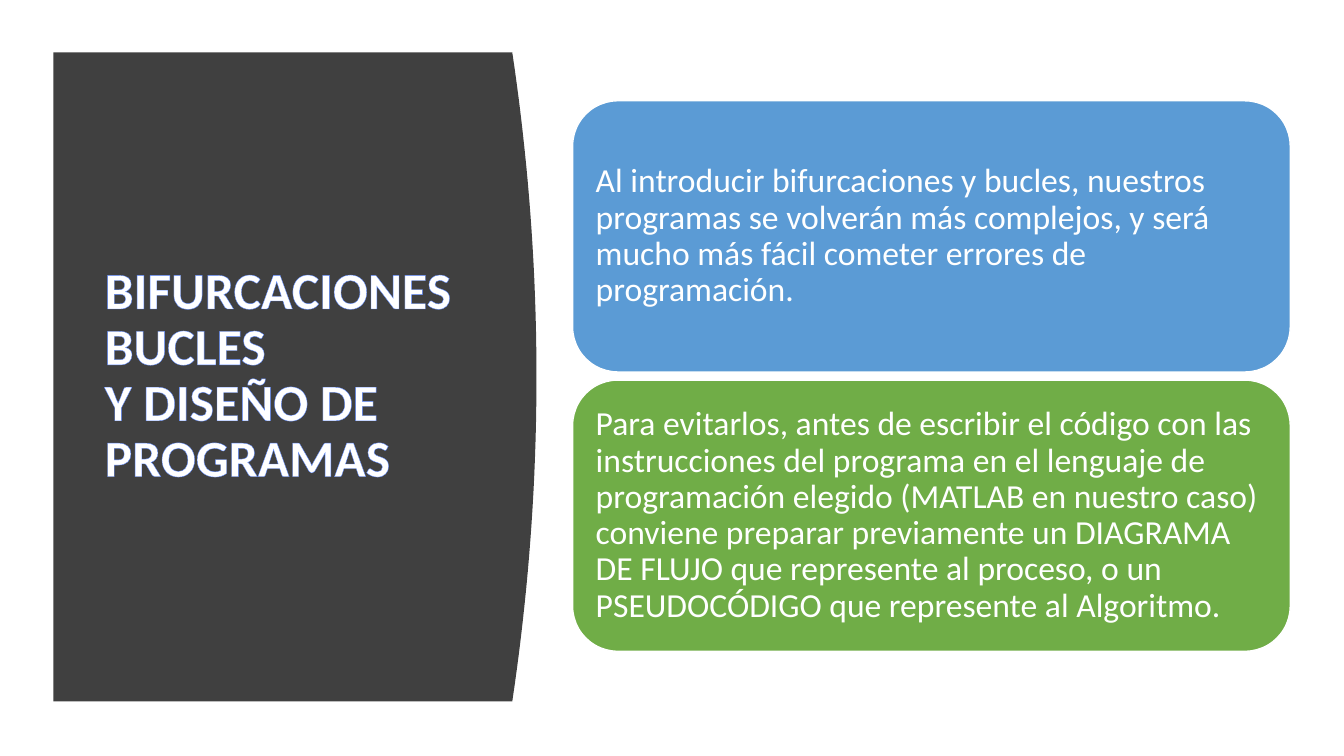
"""Build a slide with a curved title panel and two rounded text cards."""
import pptx
import pptx.dml.color
import pptx.enum.shapes
import pptx.enum.text
import pptx.oxml
import pptx.util
from lxml import etree

Pt = pptx.util.Pt
RGB = pptx.dml.color.RGBColor

WHITE = RGB(0xFF, 0xFF, 0xFF)
DARK = RGB(0x40, 0x40, 0x40)
BLUE = RGB(0x5B, 0x9B, 0xD5)
GREEN = RGB(0x70, 0xAD, 0x47)
EDGE = RGB(0x5A, 0x87, 0xFF)

TITLE = ["BIFURCACIONES BUCLES ", "Y DISEÑO DE PROGRAMAS"]
CARDS = [
    (BLUE, "Al introducir bifurcaciones y bucles, nuestros programas se "
           "volverán más complejos, y será mucho más fácil cometer errores "
           "de programación."),
    (GREEN, "Para evitarlos, antes de escribir el código con las "
            "instrucciones del programa en el lenguaje de programación "
            "elegido (MATLAB en nuestro caso) conviene preparar previamente "
            "un DIAGRAMA DE FLUJO que represente al proceso, o un "
            "PSEUDOCÓDIGO que represente al Algoritmo."),
]


def paint(shape, color):
    """Fill a shape with one colour and drop its shadow."""
    shape.shadow.inherit = False
    shape.fill.solid()
    shape.fill.fore_color.rgb = color


def outline(run, color, width):
    """Draw a thin line around the letters of a run."""
    props = run.font._element
    line = props.makeelement(pptx.oxml.ns.qn("a:ln"), {"w": str(Pt(width))})
    fill = etree.SubElement(line, pptx.oxml.ns.qn("a:solidFill"))
    etree.SubElement(fill, pptx.oxml.ns.qn("a:srgbClr"), val=str(color))
    props.insert(0, line)


def write(frame, lines, size, bold=False):
    """Write lines in one left-aligned, vertically centred paragraph."""
    frame.word_wrap = True
    frame.vertical_anchor = pptx.enum.text.MSO_ANCHOR.MIDDLE
    para = frame.paragraphs[0]
    para.alignment = pptx.enum.text.PP_ALIGN.LEFT
    para.line_spacing = 0.9
    for index, line in enumerate(lines):
        if index:
            para.add_line_break()
        run = para.add_run()
        run.text = line
        run.font.name = "Calibri"
        run.font.size = Pt(size)
        run.font.bold = bold
        run.font.color.rgb = WHITE
    return para.runs


def panel(slide, left, top, width, height, bulge):
    """Draw a block whose right side bends outwards as a parabola."""
    steps = 40
    side = left + width - bulge
    curve = []
    for step in range(steps + 1):
        part = step / steps
        bend = 4 * bulge * part * (1 - part)
        curve.append((Pt(side + bend), Pt(top + height * part)))
    pen = slide.shapes.build_freeform(Pt(left), Pt(top))
    pen.add_line_segments(curve + [(Pt(left), Pt(top + height))], close=True)
    shape = pen.convert_to_shape()
    paint(shape, DARK)
    shape.line.fill.background()


def title(slide, left, top, width, height):
    """Place the bold title with outlined letters."""
    box = slide.shapes.add_textbox(Pt(left), Pt(top), Pt(width), Pt(height))
    for run in write(box.text_frame, TITLE, 37, True):
        outline(run, EDGE, 0.39)


def card(slide, left, top, width, height, color, text):
    """Place a rounded card with its text."""
    kind = pptx.enum.shapes.MSO_SHAPE.ROUNDED_RECTANGLE
    shape = slide.shapes.add_shape(kind, Pt(left), Pt(top), Pt(width), Pt(height))
    paint(shape, color)
    shape.line.color.rgb = WHITE
    shape.line.width = Pt(1)
    frame = shape.text_frame
    frame.margin_left = frame.margin_right = Pt(7.2)
    frame.margin_top = frame.margin_bottom = Pt(7.2)
    write(frame, [text], 24)


def main():
    """Build the slide and save it."""
    deck = pptx.Presentation()
    deck.slide_width, deck.slide_height = Pt(960), Pt(540)
    slide = deck.slides.add_slide(deck.slide_layouts[6])
    panel(slide, 38.2, 37.4, 345, 463.7, 17.3)
    title(slide, 67.7, 80, 269.3, 377.3)
    for index, (color, text) in enumerate(CARDS):
        card(slide, 409, 72 + 199.5 * index, 512.6, 193.7, color, text)
    deck.save("out.pptx")


if __name__ == "__main__":
    main()
